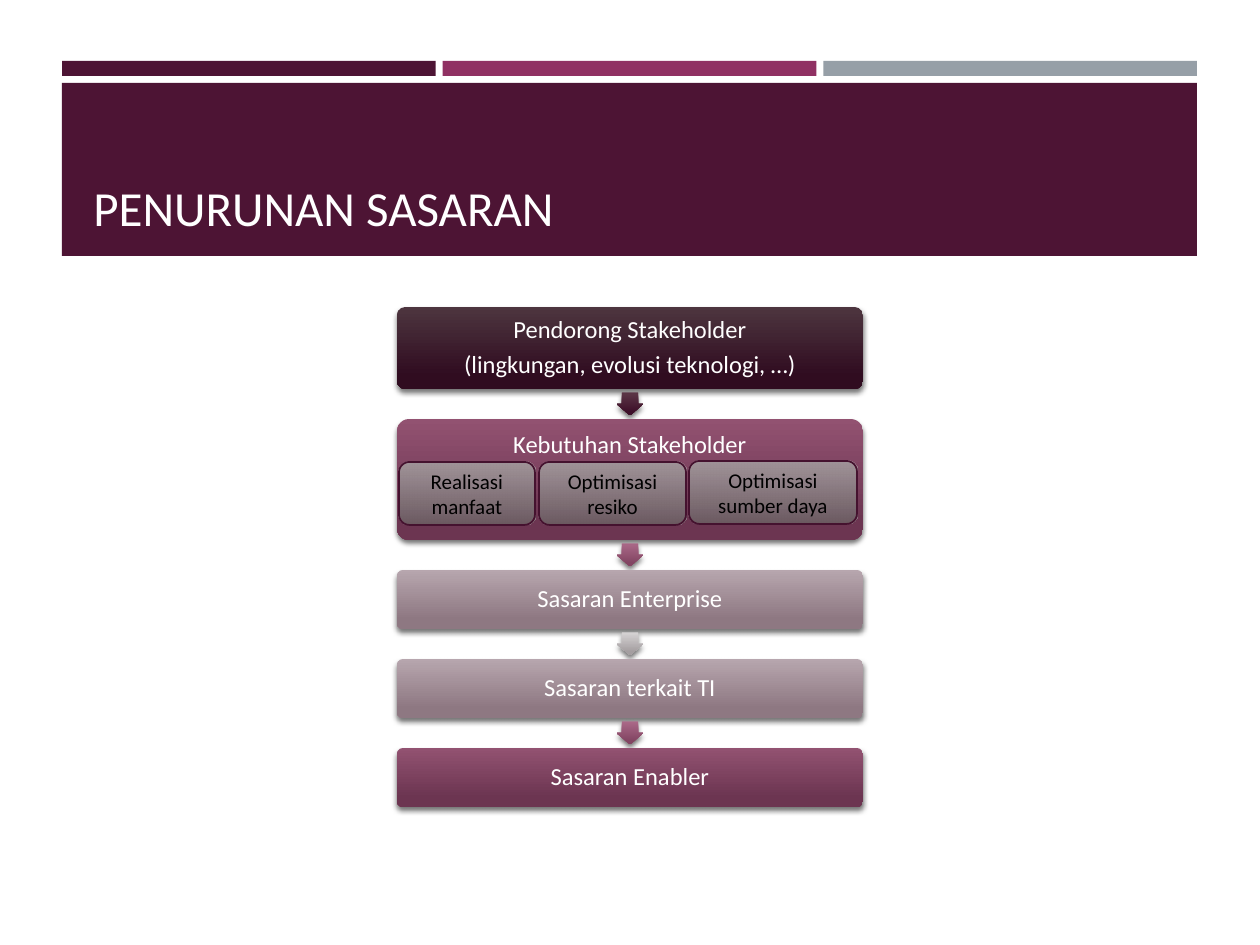
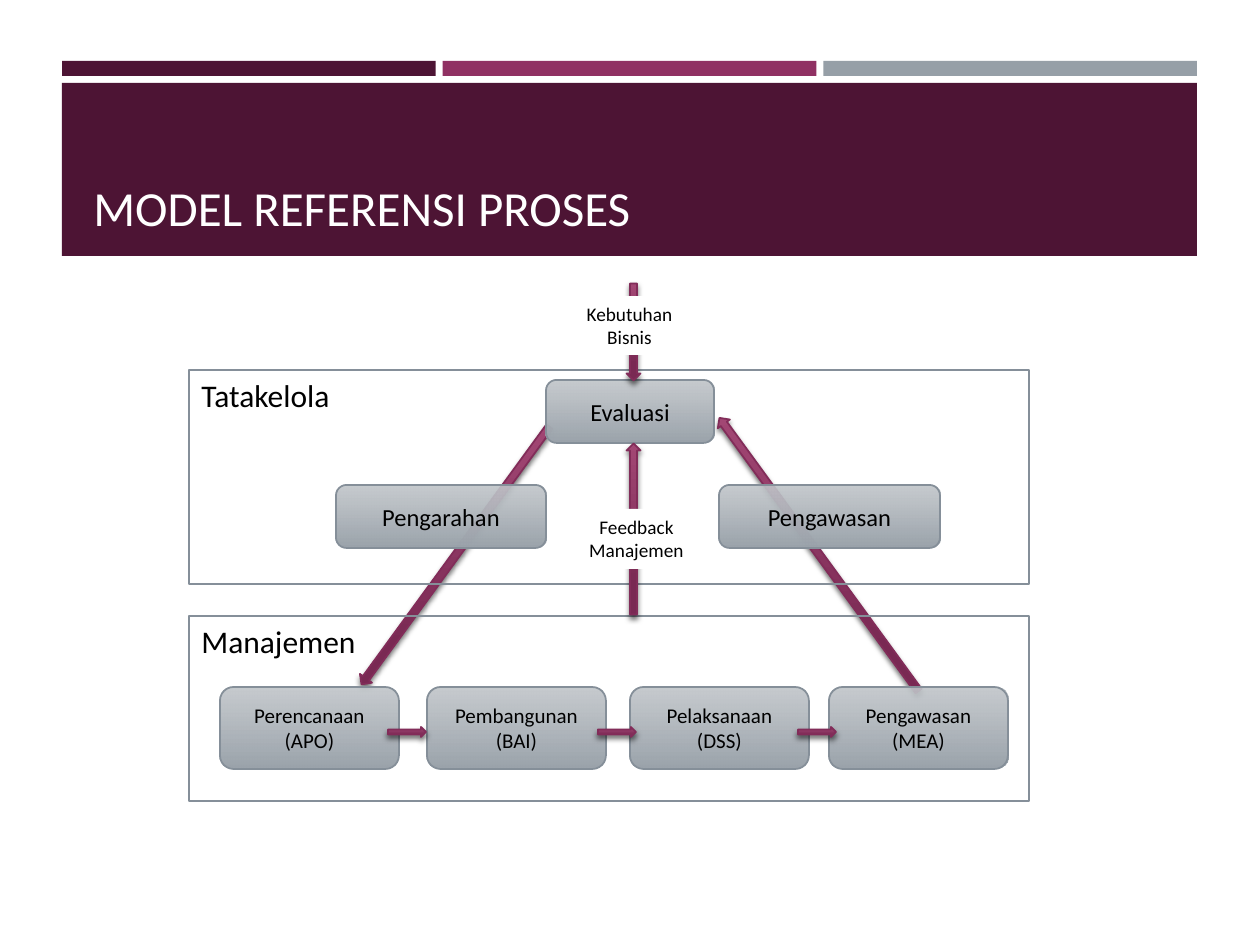
from dataclasses import dataclass, field
from typing import Any, NamedTuple, Optional

from lxml.etree import SubElement
from pptx import Presentation
from pptx.dml.color import RGBColor
from pptx.enum.shapes import MSO_SHAPE
from pptx.enum.text import MSO_ANCHOR, PP_ALIGN
from pptx.oxml.ns import qn
from pptx.util import Emu, Pt

EMU_PER_PIXEL = 914400 / 126


class Gradient(NamedTuple):
    top: str
    bottom: str
    end: float = 0.84
    top_opacity: int = 100


class Box(NamedTuple):
    left: float
    top: float
    width: float
    height: float


@dataclass(frozen=True)
class Theme:
    font: str = "Calibri"
    plum: str = "4D1434"
    berry: str = "903163"
    slate: str = "969FA7"
    white: str = "FFFFFF"
    black: str = "000000"
    node_line: str = "858F99"
    need_line: str = "45122F"
    arrow_line: str = "822C59"
    driver: Gradient = Gradient("4D353F", "300C20")
    berry_box: Gradient = Gradient("925271", "6C3551")
    pale_box: Gradient = Gradient("B7A6AE", "8E7882")
    dark_step: Gradient = Gradient("5C3647", "3E102A")
    berry_step: Gradient = Gradient("A96887", "834563")
    pale_step: Gradient = Gradient("D6D3D4", "A49EA0")
    need: Gradient = Gradient("A49C9F", "6C5A61", 1, 90)
    node: Gradient = Gradient("C0C5C9", "9BA3AB", 1, 90)
    arrow: Gradient = Gradient("A24774", "792953")
    title_size: int = 28
    panel_size: int = 18
    body_size: int = 14
    small_size: int = 12
    label_size: int = 11


THEME = Theme()


@dataclass(frozen=True)
class Style:
    kind: MSO_SHAPE = MSO_SHAPE.RECTANGLE
    fill: Any = None
    line: Optional[str] = None
    shadow: bool = False
    adjustments: tuple = ()
    size: int = THEME.body_size
    color: str = THEME.black
    frame: dict = field(default_factory=dict)
    paragraph: dict = field(default_factory=dict)


class Stage(NamedTuple):
    text: str
    height: int
    fill: Gradient
    arrow: Optional[Gradient]
    anchor: MSO_ANCHOR = MSO_ANCHOR.MIDDLE


class Node(NamedTuple):
    text: str
    box: Box
    size: int = THEME.body_size


class Arrow(NamedTuple):
    box: Box
    rotation: float = 0
    kind: MSO_SHAPE = MSO_SHAPE.LEFT_ARROW


def px(length: float) -> Emu:
    return Emu(round(length * EMU_PER_PIXEL))


def set_format(target: Any, values: dict) -> None:
    for name, value in values.items():
        setattr(target, name, value)


def paint_gradient(shape: Any, gradient: Gradient) -> None:
    shape.fill.gradient()
    shape.fill.gradient_angle = 270
    colors = (gradient.top, gradient.bottom)
    for stop, color, position in zip(shape.fill.gradient_stops, colors, (0, gradient.end)):
        stop.color.rgb = RGBColor.from_string(color)
        stop.position = position
    element = shape.element.spPr.find(qn("a:gradFill"))
    element.set("rotWithShape", "0")
    if gradient.top_opacity < 100:
        first_color = next(element.iter(qn("a:srgbClr")))
        SubElement(first_color, qn("a:alpha"), val=str(gradient.top_opacity * 1000))


def add_shadow(shape: Any) -> None:
    effects = shape.element.spPr.find(qn("a:effectLst"))
    shadow = SubElement(effects, qn("a:outerShdw"), blurRad=str(Pt(3)), dist=str(Pt(2)),
                        dir="5400000", rotWithShape="0")
    color = SubElement(shadow, qn("a:srgbClr"), val=THEME.black)
    SubElement(color, qn("a:alpha"), val="55000")


def write_text(shape: Any, text: str, style: Style) -> None:
    frame = shape.text_frame
    set_format(frame, {"word_wrap": True, **style.frame})
    frame.text = text
    for paragraph in frame.paragraphs:
        set_format(paragraph, style.paragraph)
        for run in paragraph.runs:
            set_format(run.font, {"name": THEME.font, "size": Pt(style.size)})
            run.font.color.rgb = RGBColor.from_string(style.color)


def draw(slide: Any, box: Box, style: Style, text: str = "", rotation: float = 0) -> None:
    shape = slide.shapes.add_shape(style.kind, *map(px, box))
    shape.shadow.inherit = False
    shape.rotation = rotation
    for index, value in enumerate(style.adjustments):
        shape.adjustments[index] = value
    if isinstance(style.fill, Gradient):
        paint_gradient(shape, style.fill)
    elif style.fill:
        shape.fill.solid()
        shape.fill.fore_color.rgb = RGBColor.from_string(style.fill)
    else:
        shape.fill.background()
    if style.line:
        shape.line.color.rgb = RGBColor.from_string(style.line)
        shape.line.width = Pt(1)
    else:
        shape.line.fill.background()
    if style.shadow:
        add_shadow(shape)
    if text:
        write_text(shape, text, style)


CENTERED = {"alignment": PP_ALIGN.CENTER}
MIDDLE = {"vertical_anchor": MSO_ANCHOR.MIDDLE}
TITLE = Style(size=THEME.title_size, color=THEME.white,
              frame={"vertical_anchor": MSO_ANCHOR.BOTTOM},
              paragraph={"alignment": PP_ALIGN.LEFT})


def add_titled_slide(presentation: Any, title: str) -> Any:
    slide = presentation.slides.add_slide(presentation.slide_layouts[6])
    left, width, gap = 62, 1135, 7
    colors = (THEME.plum, THEME.berry, THEME.slate)
    band_width = (width - 2 * gap) / 3
    for index, color in enumerate(colors):
        band = Box(left + index * (band_width + gap), 61, band_width, 15)
        draw(slide, band, Style(fill=color))
    draw(slide, Box(left, 83, width, 173), Style(fill=THEME.plum))
    text_box = slide.shapes.add_textbox(*map(px, Box(81, 94, 1101, 149)))
    write_text(text_box, title, TITLE)
    return slide


STAGES = (
    Stage("Pendorong Stakeholder\n(lingkungan, evolusi teknologi, …)", 82,
          THEME.driver, THEME.dark_step),
    Stage("Kebutuhan Stakeholder", 121, THEME.berry_box, THEME.berry_step, MSO_ANCHOR.TOP),
    Stage("Sasaran Enterprise", 59, THEME.pale_box, THEME.pale_step),
    Stage("Sasaran terkait TI", 59, THEME.pale_box, THEME.berry_step),
    Stage("Sasaran Enabler", 59, THEME.berry_box, None),
)
NEEDS = (
    Node("Realisasi manfaat", Box(399, 462, 136, 63)),
    Node("Optimisasi resiko", Box(539, 462, 147, 63)),
    Node("Optimisasi sumber daya", Box(689, 461, 168, 63)),
)


def build_goal_cascade(presentation: Any) -> None:
    slide = add_titled_slide(presentation, "PENURUNAN SASARAN")
    left, top, width, gap = 397, 307, 466, 30
    arrow_length, arrow_width = 23, 27
    margins = {f"margin_{side}": px(10) for side in ("left", "top", "right", "bottom")}
    spacing = {**CENTERED, "line_spacing": 0.9, "space_after": Pt(5)}
    for stage in STAGES:
        style = Style(MSO_SHAPE.ROUNDED_RECTANGLE, stage.fill, shadow=True,
                      adjustments=(0.1,), color=THEME.white,
                      frame={**margins, "vertical_anchor": stage.anchor},
                      paragraph=spacing)
        draw(slide, Box(left, top, width, stage.height), style, stage.text)
        top += stage.height + gap
        if stage.arrow:
            arrow_box = Box(left + (width - arrow_length) / 2, top - (gap + arrow_width) / 2,
                            arrow_length, arrow_width)
            arrow_style = Style(MSO_SHAPE.RIGHT_ARROW, stage.arrow, shadow=True,
                                adjustments=(0.6, 0.5))
            draw(slide, arrow_box, arrow_style, rotation=90)
    need_style = Style(MSO_SHAPE.ROUNDED_RECTANGLE, THEME.need, THEME.need_line,
                       size=THEME.small_size, frame=MIDDLE, paragraph=CENTERED)
    for need in NEEDS:
        draw(slide, need.box, need_style, need.text)


def process_box(left: int) -> Box:
    return Box(left, 687, 179, 82)


DIAGONALS = (
    Arrow(Box(296, 548, 319, 15), 306.1),
    Arrow(Box(650, 547, 338, 15), 53.9),
)
NODES = (
    Node("Evaluasi", Box(546, 380, 168, 63)),
    Node("Pengawasan", Box(719, 485, 221, 63)),
    Node("Pengarahan", Box(336, 485, 210, 63)),
    Node("Perencanaan\n(APO)", process_box(220), THEME.small_size),
    Node("Pembangunan\n(BAI)", process_box(427), THEME.small_size),
    Node("Pelaksanaan (DSS)", process_box(630), THEME.small_size),
    Node("Pengawasan\n(MEA)", process_box(829), THEME.small_size),
)
PROCESS_ARROWS = tuple(Arrow(Box(left, 727, 38, 10), kind=MSO_SHAPE.RIGHT_ARROW)
                       for left in (388, 598, 798))
PANELS = (
    Node("Manajemen", Box(189, 616, 840, 185)),
    Node("Tatakelola", Box(189, 370, 840, 214)),
)
VERTICALS = (
    Arrow(Box(548, 522, 171, 14), 90),
    Arrow(Box(585, 325, 97, 14), 90, MSO_SHAPE.RIGHT_ARROW),
)
LABELS = (
    Node("Feedback\nManajemen", Box(570, 509, 133, 60)),
    Node("Kebutuhan\nBisnis", Box(566, 296, 127, 59)),
)


def draw_arrows(slide: Any, arrows: tuple) -> None:
    for arrow in arrows:
        style = Style(arrow.kind, THEME.arrow, THEME.arrow_line, shadow=True)
        draw(slide, arrow.box, style, rotation=arrow.rotation)


def build_process_model(presentation: Any) -> None:
    slide = add_titled_slide(presentation, "MODEL REFERENSI PROSES")
    draw_arrows(slide, DIAGONALS)
    for node in NODES:
        style = Style(MSO_SHAPE.ROUNDED_RECTANGLE, THEME.node, THEME.node_line,
                      size=node.size, frame=MIDDLE, paragraph=CENTERED)
        draw(slide, node.box, style, node.text)
    draw_arrows(slide, PROCESS_ARROWS)
    panel_style = Style(line=THEME.node_line, size=THEME.panel_size,
                        frame={"vertical_anchor": MSO_ANCHOR.TOP},
                        paragraph={"alignment": PP_ALIGN.LEFT})
    for panel in PANELS:
        draw(slide, panel.box, panel_style, panel.text)
    draw_arrows(slide, VERTICALS)
    label_style = Style(fill=THEME.white, size=THEME.label_size,
                        frame={"word_wrap": False, "vertical_anchor": MSO_ANCHOR.TOP},
                        paragraph=CENTERED)
    for label in LABELS:
        draw(slide, label.box, label_style, label.text)


def main() -> None:
    presentation = Presentation()
    set_format(presentation, {"slide_width": px(1260), "slide_height": px(945)})
    build_goal_cascade(presentation)
    build_process_model(presentation)
    presentation.save("out.pptx")


main()
